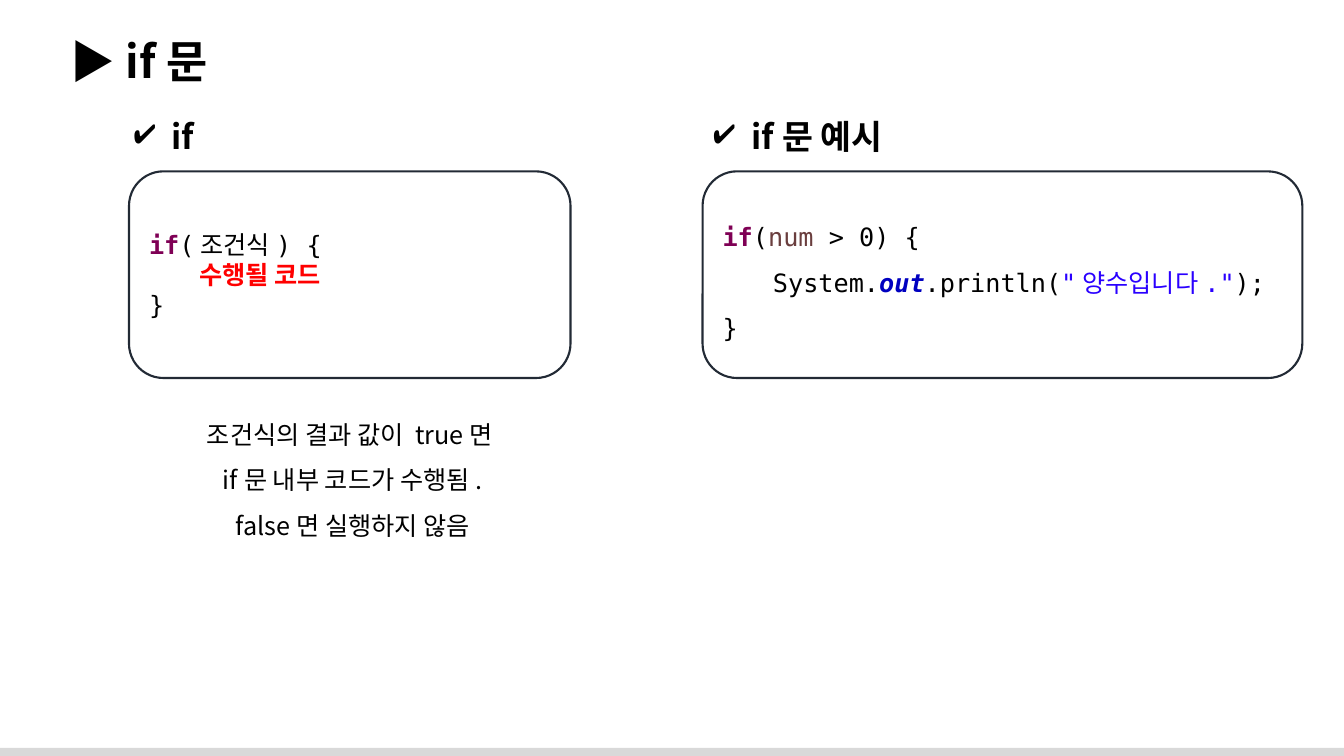
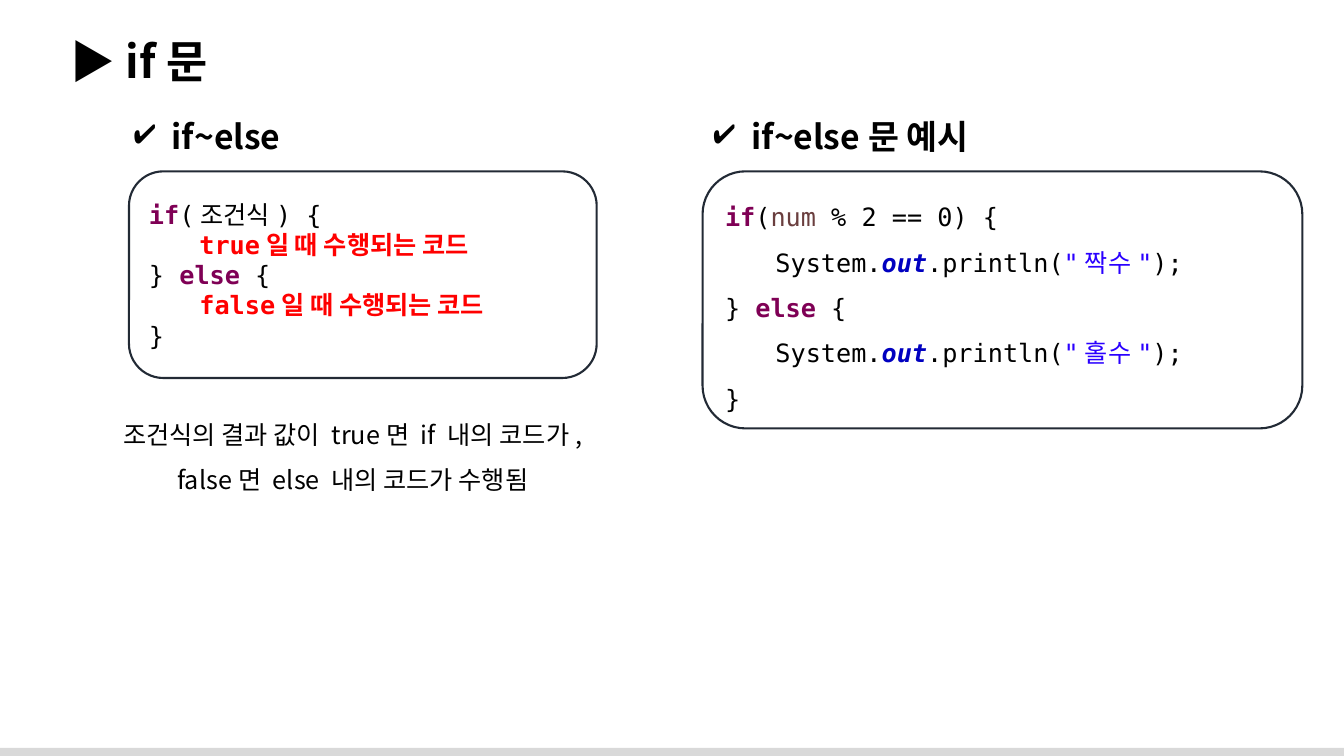
from lxml import etree
from pptx import Presentation
from pptx.dml.color import RGBColor
from pptx.enum import shapes, text
from pptx.oxml import ns
from pptx.util import Pt

COLORS = {
    "black": "000000", "band": "D9D9D9", "outline": "222A35",
    "keyword": "7F0055", "variable": "6A3E3E", "field": "0000C0",
    "string": "2A00FF", "slot": "FF0000",
}
BOLD_STYLES = {"keyword", "field", "slot"}
SANS = "Noto Sans CJK KR"
MONO = "DejaVu Sans Mono"

# Shared rows and columns, in points
HEADING_TOP, CODE_TOP, NOTE_TOP = 79.2, 122.4, 285.12
SYNTAX_LEFT, EXAMPLE_LEFT = 92.16, 501.84
SYNTAX_HEIGHT, EXAMPLE_WIDTH = 147.6, 428.4
NOTE_CENTER = 252

# Code pieces are (words, style) pairs
CONDITION = [("if", "keyword"), ("(조건식) {", "black")]
CLOSE = [("}", "black")]
ELSE = [("} ", "black"), ("else", "keyword"), (" {", "black")]


def slot_line(words):
    return [("\t", "black"), (words, "slot")]


def test_line(rest):
    return [("if", "keyword"), ("(", "black"), ("num", "variable"), (rest, "black")]


def print_line(words):
    return [("\tSystem.", "black"), ("out", "field"), (".println(", "black"),
            (f'"{words}"', "string"), (");", "black")]


PAGES = [
    {
        "syntax": ("if ", 66.24),
        "syntax_width": 315.36,
        "syntax_code": [CONDITION, slot_line("수행될 코드"), CLOSE],
        "note": "조건식의 결과 값이 true면 \vif문 내부 코드가 수행됨.\nfalse면 실행하지 않음",
        "note_size": (236.88, 105.12),
        "example": ("if문 예시 ", 147.6),
        "example_height": 147.6,
        "example_code": [test_line(" > 0) {"), print_line("양수입니다."), CLOSE],
    },
    {
        "syntax": ("if~else ", 128.16),
        "syntax_width": 334.08,
        "syntax_code": [CONDITION, slot_line("true일 때 수행되는 코드"), ELSE,
                        slot_line("false일 때 수행되는 코드"), CLOSE],
        "note": "조건식의 결과 값이 true면 if 내의 코드가,\nfalse면 else 내의 코드가 수행됨",
        "note_size": (354.96, 72.72),
        "example": ("if~else문 예시 ", 209.52),
        "example_height": 183.6,
        "example_code": [test_line(" % 2 == 0) {"), print_line("짝수"), ELSE,
                         print_line("홀수"), CLOSE],
    },
]


def color(name):
    return RGBColor.from_string(COLORS[name])


def style_span(span, size, font=SANS, style="black", bold=False):
    span.font.size = Pt(size)
    span.font.name = font
    span.font.bold = bold
    span.font.italic = style == "field"
    span.font.color.rgb = color(style)


def set_korean_font(shape):
    for properties in shape.element.iter(ns.qn("a:rPr")):
        etree.SubElement(properties, ns.qn("a:ea"), typeface=SANS)


def fill_text(shape, words, size, bold=False, align=text.PP_ALIGN.LEFT, spacing=1.0):
    frame = shape.text_frame
    frame.text = words
    frame.word_wrap = True
    frame.auto_size = text.MSO_AUTO_SIZE.SHAPE_TO_FIT_TEXT
    frame.vertical_anchor = text.MSO_ANCHOR.TOP
    for para in frame.paragraphs:
        para.alignment = align
        para.line_spacing = spacing
        for span in para.runs:
            style_span(span, size, bold=bold)
    set_korean_font(shape)


def add_title(page, words):
    title = page.shapes.title
    title.left, title.top = Pt(43.2), Pt(20.16)
    title.width, title.height = Pt(907.2), Pt(46.08)
    fill_text(title, words, 32, bold=True)


def add_heading(page, left, heading):
    words, width = heading
    box = page.shapes.add_textbox(Pt(left), Pt(HEADING_TOP), Pt(width), Pt(36))
    fill_text(box, words, 24, bold=True)
    # Hanging check mark
    for properties in box.element.iter(ns.qn("a:pPr")):
        properties.set("marL", str(Pt(27)))
        properties.set("indent", str(-Pt(27)))
        bullet_color = etree.SubElement(properties, ns.qn("a:buClr"))
        etree.SubElement(bullet_color, ns.qn("a:srgbClr"), val=COLORS["black"])
        etree.SubElement(properties, ns.qn("a:buChar"), char="✔")


def add_note(page, words, size):
    width, height = size
    box = page.shapes.add_textbox(
        Pt(NOTE_CENTER - width / 2), Pt(NOTE_TOP), Pt(width), Pt(height))
    fill_text(box, words, 18, align=text.PP_ALIGN.CENTER, spacing=1.5)


def add_code(page, left, width, height, lines, spacing=1.0):
    box = page.shapes.add_shape(
        shapes.MSO_SHAPE.ROUNDED_RECTANGLE, Pt(left), Pt(CODE_TOP), Pt(width), Pt(height))
    box.shadow.inherit = False
    box.fill.background()
    box.line.color.rgb = color("outline")
    box.line.width = Pt(1.5)
    frame = box.text_frame
    frame.word_wrap = True
    frame.vertical_anchor = text.MSO_ANCHOR.MIDDLE
    for number, line in enumerate(lines):
        para = frame.add_paragraph() if number else frame.paragraphs[0]
        para.alignment = text.PP_ALIGN.LEFT
        para.line_spacing = spacing
        for words, style in line:
            span = para.add_run()
            span.text = words
            style_span(span, 18, MONO, style, style in BOLD_STYLES)
    set_korean_font(box)


def add_layout_band(page):
    """Draw the bottom band and hand it to the layout, so all pages share it."""
    band = page.shapes.add_shape(
        shapes.MSO_SHAPE.RECTANGLE, Pt(-2.16), Pt(534.24), Pt(964.08), Pt(7.92))
    band.shadow.inherit = False
    band.fill.solid()
    band.fill.fore_color.rgb = color("band")
    band.line.fill.background()
    band.element.nvSpPr.cNvPr.set("id", "20")
    page.slide_layout.shapes.element.append(band.element)


def add_page(deck, layout, content):
    page = deck.slides.add_slide(layout)
    add_title(page, "▶ if문")
    # Syntax on the left
    add_code(page, SYNTAX_LEFT, content["syntax_width"], SYNTAX_HEIGHT,
             content["syntax_code"])
    add_heading(page, 88.56, content["syntax"])
    add_note(page, content["note"], content["note_size"])
    # Example on the right
    add_code(page, EXAMPLE_LEFT, EXAMPLE_WIDTH, content["example_height"],
             content["example_code"], spacing=1.5)
    add_heading(page, 502.56, content["example"])
    return page


def main():
    deck = Presentation()
    deck.slide_width, deck.slide_height = Pt(960), Pt(540)
    layout = deck.slide_layouts.get_by_name("Title Only")
    pages = [add_page(deck, layout, content) for content in PAGES]
    add_layout_band(pages[0])
    deck.save("out.pptx")


main()
